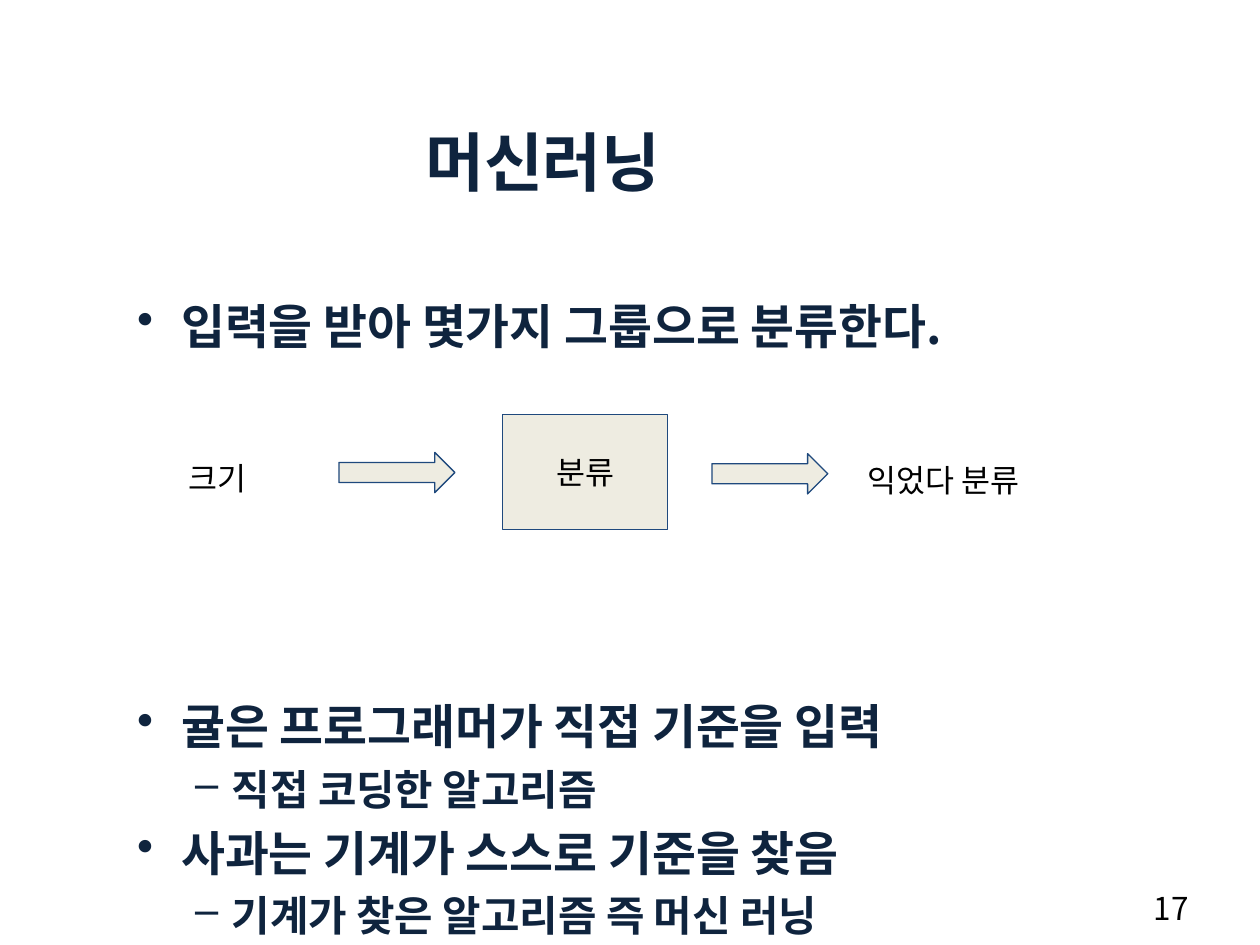
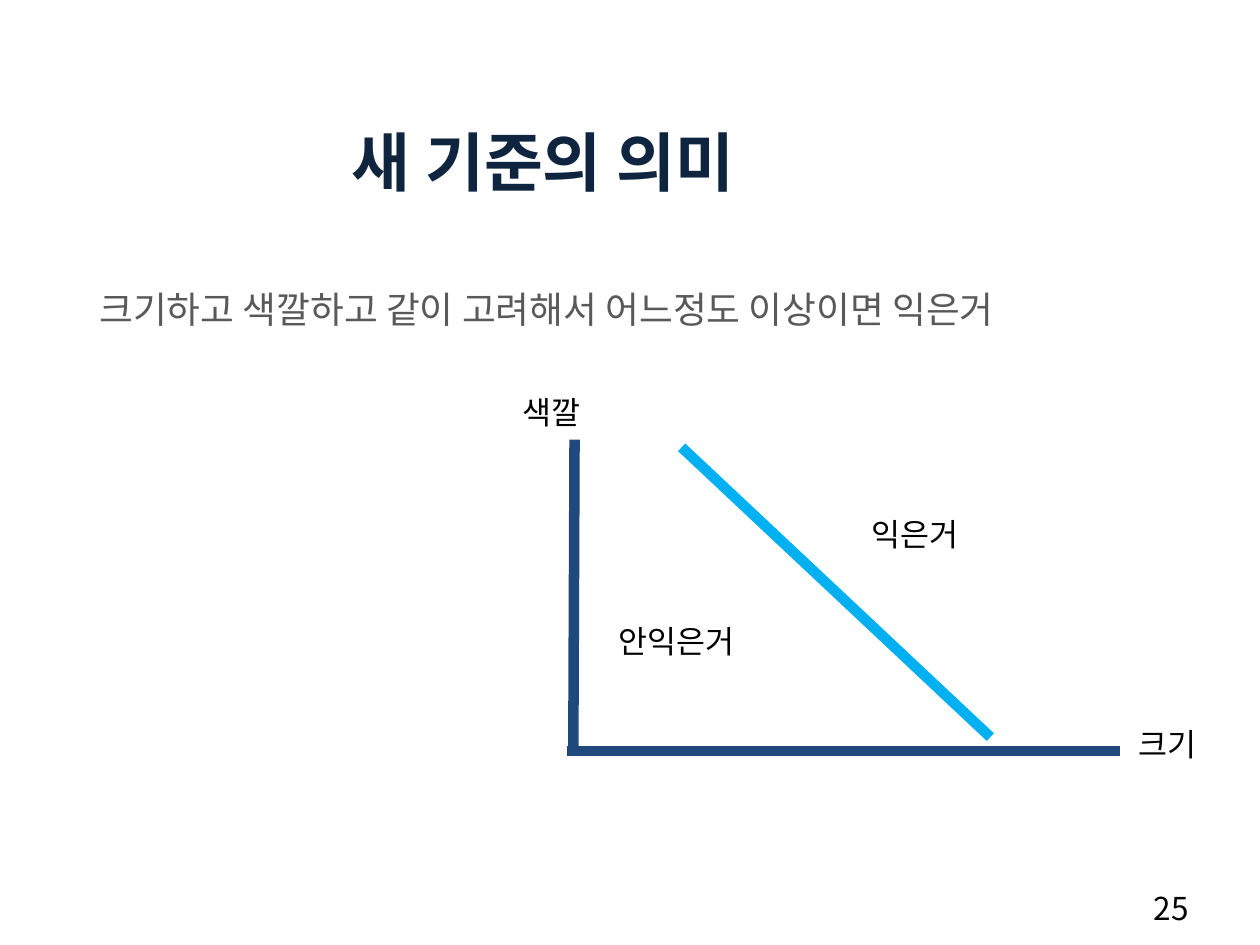
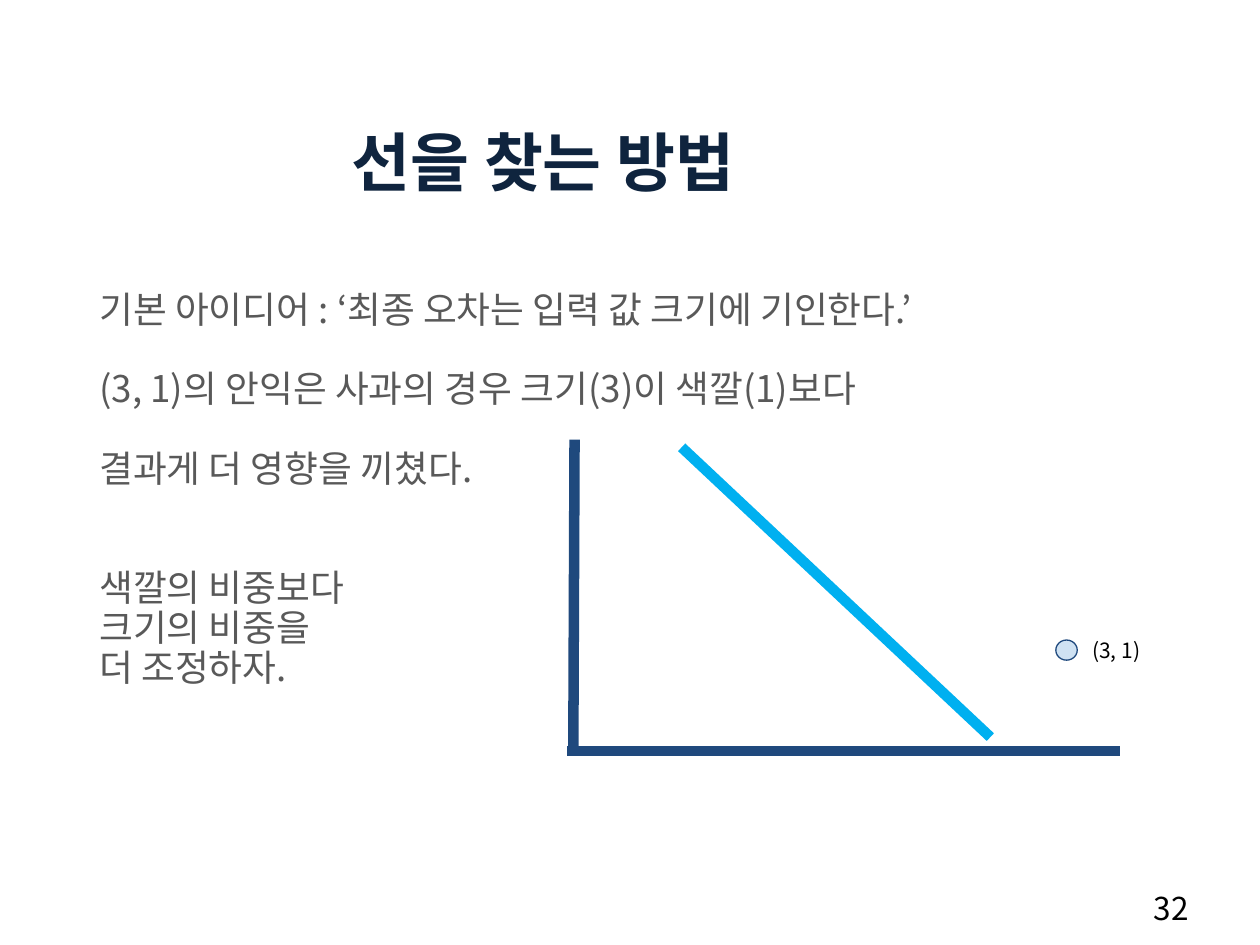
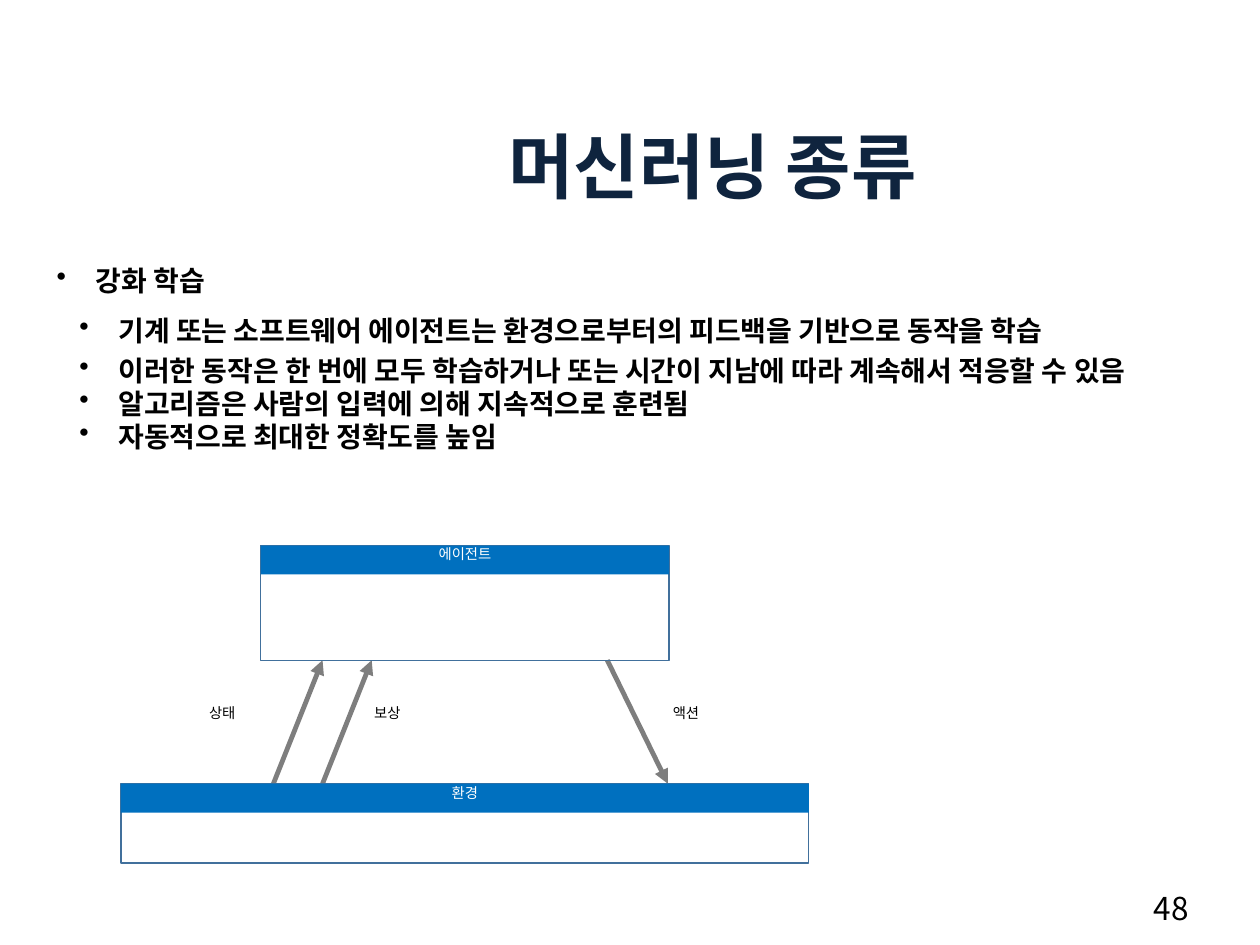
from dataclasses import dataclass

from lxml import etree
from pptx import Presentation
from pptx.dml.color import RGBColor
from pptx.enum.shapes import MSO_CONNECTOR, MSO_SHAPE
from pptx.enum.text import MSO_ANCHOR, PP_ALIGN
from pptx.oxml.ns import qn
from pptx.util import Pt

PX = 9144  # one px is a hundredth of an inch
RECTANGLE, RIGHT_ARROW = MSO_SHAPE.RECTANGLE, MSO_SHAPE.RIGHT_ARROW
DOT, STRAIGHT = MSO_SHAPE.FLOWCHART_CONNECTOR, MSO_CONNECTOR.STRAIGHT
TOP, MIDDLE = MSO_ANCHOR.TOP, MSO_ANCHOR.MIDDLE
LEFT, CENTER = PP_ALIGN.LEFT, PP_ALIGN.CENTER


@dataclass(frozen=True)
class Theme:
    font: str = "Noto Sans CJK KR"
    black: RGBColor = RGBColor(0x00, 0x00, 0x00)
    white: RGBColor = RGBColor(0xFF, 0xFF, 0xFF)
    heading: RGBColor = RGBColor(0x0F, 0x24, 0x3E)
    body: RGBColor = RGBColor(0x59, 0x59, 0x59)
    outline: RGBColor = RGBColor(0x1F, 0x49, 0x7D)
    beige: RGBColor = RGBColor(0xEE, 0xEC, 0xE1)
    boundary: RGBColor = RGBColor(0x00, 0xB0, 0xF0)
    dot: RGBColor = RGBColor(0xCF, 0xE2, 0xF3)
    header: RGBColor = RGBColor(0x00, 0x70, 0xBF)
    frame: RGBColor = RGBColor(0x41, 0x70, 0x9C)
    arrow: RGBColor = RGBColor(0x7E, 0x7E, 0x7E)
    title_size: float = 36.6
    large_title_size: float = 40.6
    bullet_size: float = 27.3
    sub_bullet_size: float = 23.9
    text_size: float = 21
    label_size: float = 18
    list_size: float = 16
    point_size: float = 12
    diagram_size: float = 8.2


THEME = Theme()


def add_box(slide, box, inset=(10, 10), anchor=TOP, wrap=True):
    """Add an empty text box and return its text frame."""
    frame = slide.shapes.add_textbox(*[value * PX for value in box]).text_frame
    frame.margin_left = frame.margin_right = inset[0] * PX
    frame.margin_top = frame.margin_bottom = inset[1] * PX
    frame.vertical_anchor = anchor
    frame.word_wrap = wrap
    return frame


def write(frame, text, size, color=THEME.black, bold=False, align=LEFT,
          line=None, before=0, indent=None, bullet=None):
    """Fill the first paragraph of a frame, or add one below the others."""
    paragraph = frame.paragraphs[0]
    if paragraph.runs:
        paragraph = frame.add_paragraph()
    properties = paragraph._p.get_or_add_pPr()
    if indent:
        properties.set("marL", str(indent[0] * PX))
        properties.set("indent", str(-indent[1] * PX))
    if bullet:
        etree.SubElement(properties, qn("a:buChar")).set("char", bullet)
    paragraph.alignment = align
    if line:
        paragraph.line_spacing = Pt(line)
    if before:
        paragraph.space_before = Pt(before)
    run = paragraph.add_run()
    run.text = text
    run.font.size = Pt(size)
    run.font.bold = bold
    run.font.color.rgb = color
    run.font.name = THEME.font
    etree.SubElement(run._r.rPr, qn("a:ea")).set("typeface", THEME.font)


presentation = Presentation()
presentation.slide_width = 1000 * PX
presentation.slide_height = 750 * PX

# Titles and page numbers of all slides
TITLE_BOX = (0, 92, 862, 71)
slides = []
for title, number, box, size in (
    ("머신러닝", "17", TITLE_BOX, THEME.title_size),
    ("새 기준의 의미", "25", TITLE_BOX, THEME.title_size),
    ("선을 찾는 방법", "32", TITLE_BOX, THEME.title_size),
    ("머신러닝 종류", "48", (131, 97, 869, 68), THEME.large_title_size),
):
    slide = presentation.slides.add_slide(presentation.slide_layouts[6])
    slides.append(slide)
    write(add_box(slide, (906, 701, 52, 40), (10, 5), wrap=False), number, THEME.label_size)
    write(add_box(slide, box, (0, 0), MIDDLE), title, size, THEME.heading, True, CENTER)
classifier_slide, criterion_slide, method_slide, kinds_slide = slides

# Classifier: bullets at two levels, with room for the flow
frame = add_box(classifier_slide, (99, 230, 862, 459), (10, 5))
for text, level, before in (
    ("입력을 받아 몇가지 그룹으로 분류한다.", 0, 0),
    ("귤은 프로그래머가 직접 기준을 입력", 0, 196),
    ("직접 코딩한 알고리즘", 1, 4.8),
    ("사과는 기계가 스스로 기준을 찾음", 0, 5.5),
    ("기계가 찾은 알고리즘 즉 머신 러닝", 1, 4.8),
):
    size, line, indent, bullet = (
        (THEME.bullet_size, 33, (35, 35), "•"),
        (THEME.sub_bullet_size, 29, (75, 29), "–"),
    )[level]
    write(frame, text, size, THEME.heading, True, line=line, before=before,
          indent=indent, bullet=bullet)

# Classifier: input, classification, output
for kind, box, text in (
    (RECTANGLE, (399, 329, 131, 91), "분류"),
    (RIGHT_ARROW, (269, 359, 92, 32), None),
    (RIGHT_ARROW, (565, 360, 92, 32), None),
):
    shape = classifier_slide.shapes.add_shape(kind, *[value * PX for value in box])
    shape.shadow.inherit = False
    shape.fill.solid()
    shape.fill.fore_color.rgb = THEME.beige
    shape.line.color.rgb = THEME.outline
    shape.line.width = Pt(0.75)
    if text:
        write(shape.text_frame, text, THEME.label_size, align=CENTER)

# Labels of the flow and of the two plots
for slide, box, text, size in (
    (classifier_slide, (140, 354, 105, 36), "크기", THEME.label_size),
    (classifier_slide, (679, 356, 163, 36), "익었다 분류", THEME.label_size),
    (criterion_slide, (682, 399, 160, 57), "익은거", THEME.label_size),
    (criterion_slide, (481, 484, 160, 57), "안익은거", THEME.label_size),
    (criterion_slide, (894, 565, 82, 39), "크기", THEME.label_size),
    (criterion_slide, (405, 302, 82, 39), "색깔", THEME.label_size),
    (method_slide, (857, 496, 64, 40), "(3, 1)", THEME.point_size),
):
    write(add_box(slide, box), text, size)

# Explanations beside the plots; gaps count skipped lines
LINE = 22.7
for slide, lines in (
    (criterion_slide, (("크기하고 색깔하고 같이 고려해서 어느정도 이상이면 익은거", 0),)),
    (method_slide, (
        ("기본 아이디어 : ‘최종 오차는 입력 값 크기에 기인한다.’", 0),
        ("(3, 1)의 안익은 사과의 경우 크기(3)이 색깔(1)보다", 1),
        ("결과게 더 영향을 끼쳤다.", 1),
        ("색깔의 비중보다", 2),
        ("크기의 비중을", 0),
        ("더 조정하자.", 0),
    )),
):
    frame = add_box(slide, (69, 221, 820, 82))
    for text, gap in lines:
        write(frame, text, THEME.text_size, THEME.body, line=LINE,
              before=gap * LINE, indent=(19, 19))

# Plot axes with the boundary, and the arrows of the learning loop
PLOT = (
    ((450, 596, 889, 596), THEME.outline),
    ((541, 355, 786, 585), THEME.boundary),
    ((456, 349, 455, 598), THEME.outline),
)
LOOP = (
    ((217, 622, 256, 524), THEME.arrow),
    ((256, 622, 295, 524), THEME.arrow),
    ((482, 524, 530, 622), THEME.arrow),
)
for slide, lines, width, arrowhead in (
    (criterion_slide, PLOT, 6, False),
    (method_slide, PLOT, 6, False),
    (kinds_slide, LOOP, 2.75, True),
):
    for ends, color in lines:
        connector = slide.shapes.add_connector(STRAIGHT, *[value * PX for value in ends])
        connector.line.color.rgb = color
        connector.line.width = Pt(width)
        if arrowhead:
            etree.SubElement(connector.line._ln, qn("a:tailEnd")).set("type", "triangle")
        etree.SubElement(connector._element.spPr, qn("a:effectLst"))

# Sample point on the plot
point = method_slide.shapes.add_shape(DOT, 838 * PX, 508 * PX, 17 * PX, 16 * PX)
point.shadow.inherit = False
point.fill.solid()
point.fill.fore_color.rgb = THEME.dot
point.line.color.rgb = THEME.outline
point.line.width = Pt(0.75)

# Kinds: reinforcement learning list
frame = add_box(kinds_slide, (44, 209, 930, 179), (0, 0))
for text, left, line, before in (
    ("강화 학습", 32, 19.2, 0),
    ("기계 또는 소프트웨어 에이전트는 환경으로부터의 피드백을 기반으로 동작을 학습", 50, 19.2, 9.3),
    ("이러한 동작은 한 번에 모두 학습하거나 또는 시간이 지남에 따라 계속해서 적응할 수 있음", 50, 19.2, 3.6),
    ("알고리즘은 사람의 입력에 의해 지속적으로 훈련됨", 50, 17.9, 1.1),
    ("자동적으로 최대한 정확도를 높임", 50, 17.9, 1.1),
):
    write(frame, text, THEME.list_size, bold=True, line=line, before=before,
          indent=(left, 31), bullet="•")

# Kinds: agent and environment, each a frame with a header band
for text, left, top, width, height in (
    ("에이전트", 207, 433, 324, 91),
    ("환경", 96, 622, 546, 63),
):
    outline = kinds_slide.shapes.add_shape(
        RECTANGLE, left * PX, top * PX, width * PX, height * PX)
    outline.shadow.inherit = False
    outline.fill.background()
    outline.line.color.rgb = THEME.frame
    outline.line.width = Pt(0.75)
    band = kinds_slide.shapes.add_shape(RECTANGLE, left * PX, top * PX, width * PX, 23 * PX)
    band.shadow.inherit = False
    band.fill.solid()
    band.fill.fore_color.rgb = THEME.header
    band.line.fill.background()
    frame = band.text_frame
    frame.margin_left = frame.margin_right = frame.margin_top = frame.margin_bottom = 0
    frame.vertical_anchor = TOP
    write(frame, text, THEME.diagram_size, THEME.white, align=CENTER)

# Kinds: arrow labels
for text, left in (("상태", 166), ("보상", 297), ("액션", 534)):
    write(add_box(kinds_slide, (left, 559, 33, 23), (0, 0)), text, THEME.diagram_size)

presentation.save("out.pptx")
